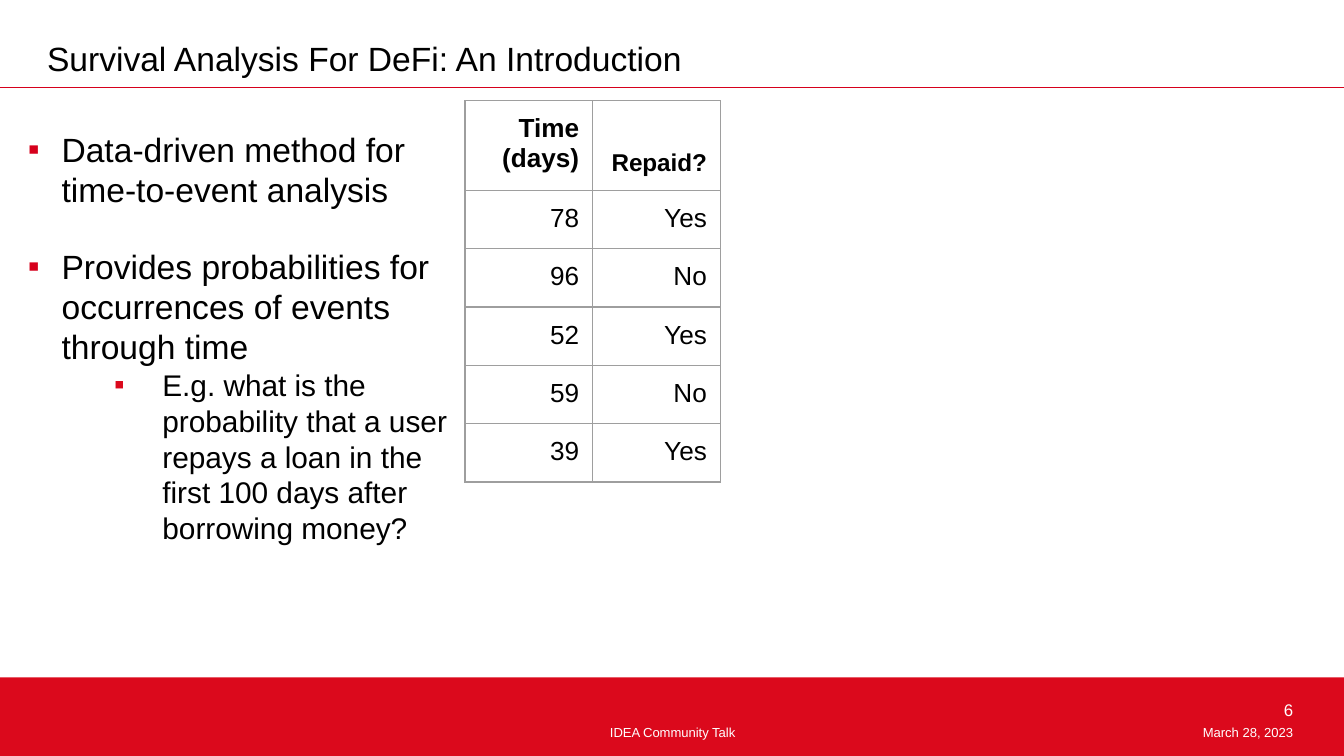
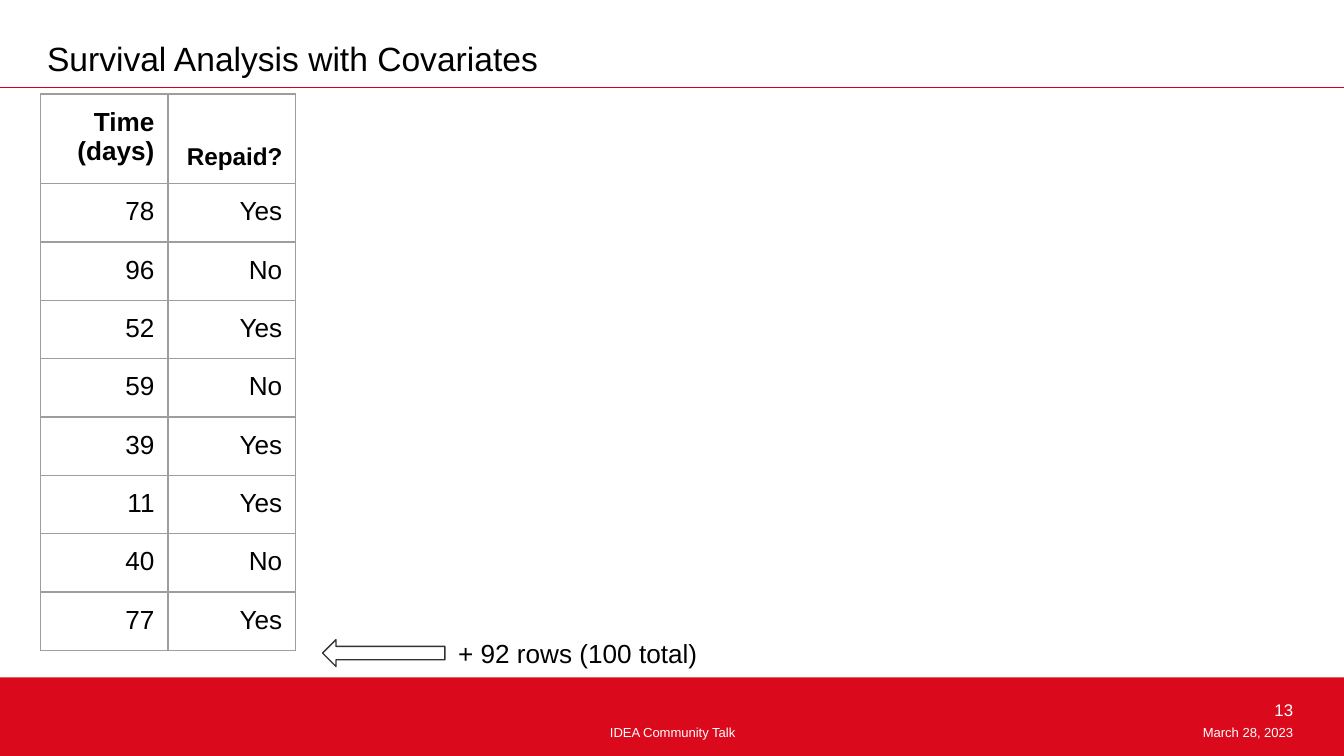
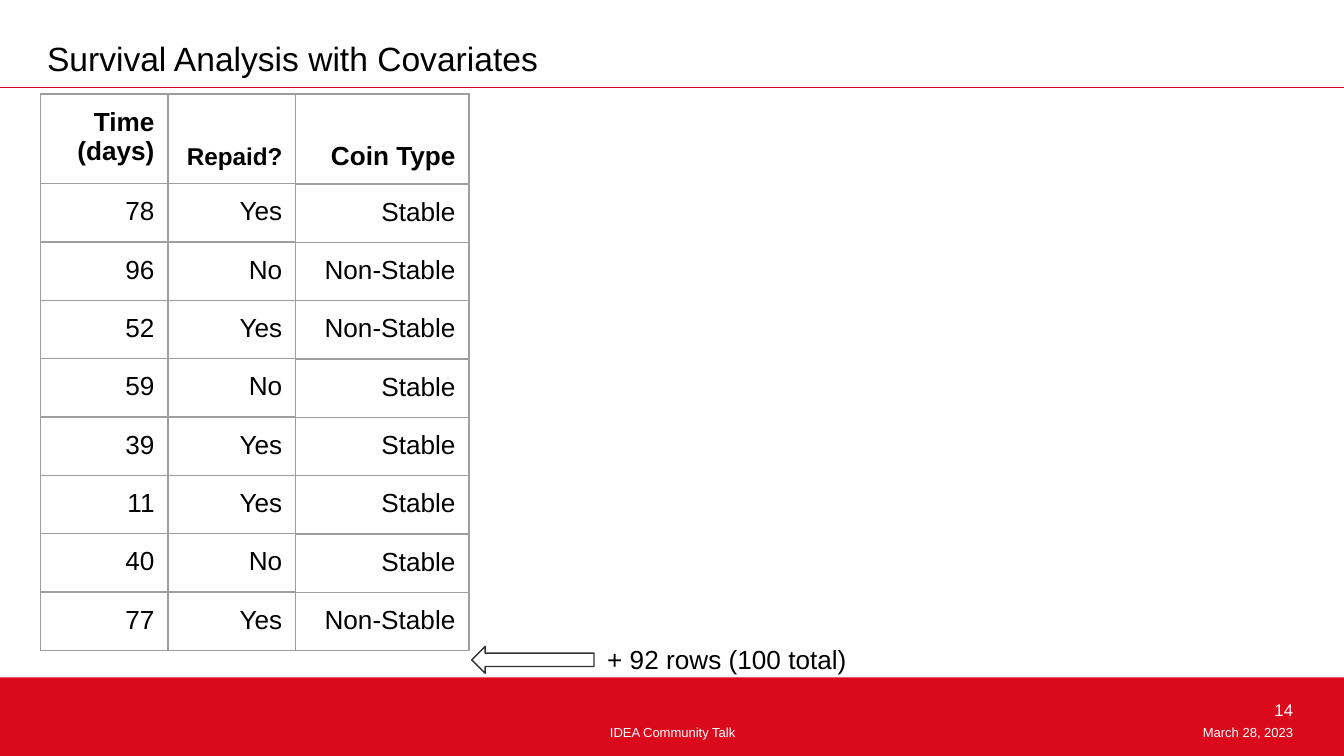
import lxml.etree
import pptx
import pptx.dml.color
import pptx.enum.shapes
import pptx.enum.text
import pptx.oxml
import pptx.oxml.ns
import pptx.util

Inches = pptx.util.Inches
Pt = pptx.util.Pt
ALIGN = pptx.enum.text.PP_ALIGN
ANCHOR = pptx.enum.text.MSO_ANCHOR
AUTO_SIZE = pptx.enum.text.MSO_AUTO_SIZE
SHAPE = pptx.enum.shapes.MSO_SHAPE

COLORS = {
    "black": "000000",
    "white": "FFFFFF",
    "band": "DB091C",
    "accent": "D6001C",
    "grid": "9E9E9E",
    "outline": "323232",
}
FONT = "Arial"
TITLE_ONLY = 5

LOANS = [
    ("78", "Yes", "Stable"),
    ("96", "No", "Non-Stable"),
    ("52", "Yes", "Non-Stable"),
    ("59", "No", "Stable"),
    ("39", "Yes", "Stable"),
    ("11", "Yes", "Stable"),
    ("40", "No", "Stable"),
    ("77", "Yes", "Non-Stable"),
]
REPAYMENTS = [loan[:2] for loan in LOANS]
COIN_TYPES = [loan[2:] for loan in LOANS]
REPAYMENT_HEADS = [("Time (days)", 14, ANCHOR.TOP), ("Repaid?", 13, ANCHOR.BOTTOM)]
COIN_HEADS = [("Coin Type", 14, ANCHOR.BOTTOM)]


def rgb(name):
    return pptx.dml.color.RGBColor.from_string(COLORS[name])


def write(paragraph, text, size=14, color="black", bold=False, align=ALIGN.LEFT):
    paragraph.alignment = align
    run = paragraph.add_run()
    run.text = text
    run.font.name = FONT
    run.font.size = Pt(size)
    run.font.bold = bold
    run.font.color.rgb = rgb(color)


def add_element(parent, tag, **attributes):
    return lxml.etree.SubElement(parent, pptx.oxml.ns.qn(tag), attributes)


def set_margins(holder, side, end):
    holder.margin_left = holder.margin_right = Inches(side)
    holder.margin_top = holder.margin_bottom = Inches(end)


class Deck:
    def __init__(self):
        self.presentation = pptx.Presentation()
        self.presentation.slide_width = Inches(10)
        self.presentation.slide_height = Inches(10) * 9 // 16
        self.slide = None

    def start_slide(self, title, number):
        layout = self.presentation.slide_layouts[TITLE_ONLY]
        self.slide = self.presentation.slides.add_slide(layout)
        self.shape(SHAPE.RECTANGLE, 0, 5.04, 10, 0.6, fill="band")
        footers = [
            ("March 28, 2023", 7.39, 5.34, 2.33, 0.1, 7, ALIGN.RIGHT),
            ("IDEA Community Talk", 3.42, 5.34, 3.17, 0.28, 7, ALIGN.CENTER),
            (str(number), 7.39, 5.16, 2.33, 0.1, 9, ALIGN.RIGHT),
        ]
        for text, left, top, width, height, size, align in footers:
            frame = self.text_frame(left, top, width, height)
            write(frame.paragraphs[0], text, size=size, color="white", align=align)
        self.rule(0.65)
        self.title(title)

    def title(self, text):
        heading = self.slide.shapes.title
        heading.left, heading.top = Inches(0.25), Inches(0.22)
        heading.width, heading.height = Inches(9.1), Inches(0.43)
        frame = heading.text_frame
        set_margins(frame, 0.1, 0.05)
        frame.word_wrap = True
        frame.auto_size = AUTO_SIZE.NONE
        frame.vertical_anchor = ANCHOR.MIDDLE
        write(frame.paragraphs[0], text, size=18)

    def shape(self, kind, left, top, width, height, fill, line=None):
        item = self.slide.shapes.add_shape(
            kind, Inches(left), Inches(top), Inches(width), Inches(height))
        item.shadow.inherit = False
        item.fill.solid()
        item.fill.fore_color.rgb = rgb(fill)
        if line:
            item.line.color.rgb = rgb(line)
            item.line.width = Pt(0.75)
        else:
            item.line.fill.background()

    def rule(self, top):
        divider = self.slide.shapes.add_connector(
            pptx.enum.shapes.MSO_CONNECTOR.STRAIGHT,
            Inches(0), Inches(top), Inches(10), Inches(top))
        divider.line.color.rgb = rgb("accent")
        divider.line.width = Pt(0.75)
        add_element(divider._element.spPr, "a:effectLst")

    def text_frame(self, left, top, width, height, inset=0.05):
        box = self.slide.shapes.add_textbox(
            Inches(left), Inches(top), Inches(width), Inches(height))
        frame = box.text_frame
        frame.word_wrap = True
        set_margins(frame, 0.1, inset)
        return frame

    def bullets(self, points, left, top, width, height):
        frame = self.text_frame(left, top, width, height)
        for index, (text, size, indent, hanging, color, gap) in enumerate(points):
            paragraph = frame.paragraphs[0] if index == 0 else frame.add_paragraph()
            paragraph.level = 1
            properties = paragraph._p.get_or_add_pPr()
            properties.set("marL", str(Inches(indent)))
            properties.set("indent", str(-Inches(hanging)))
            bullet_color = add_element(properties, "a:buClr")
            add_element(bullet_color, "a:srgbClr", val=COLORS[color])
            add_element(properties, "a:buFont", typeface=FONT)
            add_element(properties, "a:buChar", char="▪")
            paragraph.line_spacing = 1.0
            if gap:
                paragraph.space_before = Pt(gap)
            write(paragraph, text, size=size)

    def cell(self, cell, text, size=14, anchor=ANCHOR.TOP, bold=False):
        set_margins(cell, 0.1, 0.1)
        cell.vertical_anchor = anchor
        properties = cell._tc.get_or_add_tcPr()
        for edge in ("a:lnL", "a:lnR", "a:lnT", "a:lnB"):
            border = add_element(properties, edge, w=str(Pt(0.75)))
            fill = add_element(border, "a:solidFill")
            add_element(fill, "a:srgbClr", val=COLORS["grid"])
        cell.fill.background()
        write(cell.text_frame.paragraphs[0], text, size=size, bold=bold, align=ALIGN.RIGHT)

    def table(self, heads, rows, left, top, column_width,
              head_height=Inches(0.66), row_height=Pt(30.75)):
        table = self.slide.shapes.add_table(
            len(rows) + 1, len(heads), Inches(left), Inches(top),
            Inches(column_width * len(heads)),
            head_height + row_height * len(rows)).table
        table.horz_banding = False
        for column in table.columns:
            column.width = Inches(column_width)
        for index, row in enumerate(table.rows):
            row.height = row_height if index else head_height
        for column, (text, size, anchor) in enumerate(heads):
            self.cell(table.cell(0, column), text, size=size, anchor=anchor, bold=True)
        for index, values in enumerate(rows, start=1):
            for column, value in enumerate(values):
                self.cell(table.cell(index, column), value)

    def more_rows(self, left, top):
        self.shape(SHAPE.LEFT_ARROW, left, top, 0.91, 0.2, fill="white", line="outline")
        frame = self.text_frame(left + 0.91, top - 0.12, 2.07, 0.44, inset=0.1)
        frame.auto_size = AUTO_SIZE.SHAPE_TO_FIT_TEXT
        write(frame.paragraphs[0], "+ 92 rows (100 total)")


def main():
    deck = Deck()

    deck.start_slide("Survival Analysis For DeFi: An Introduction", 6)
    deck.bullets([
        ("Data-driven method for time-to-event analysis", 18, 0.25, 0.27, "accent", 0),
        ("Provides probabilities for occurrences of events through time",
         18, 0.25, 0.27, "accent", 19.3),
        ("E.g. what is the probability that a user repays a loan in the first 100 days "
         "after borrowing money?", 16, 1, 0.36, "band", 0),
    ], 0.11, 0.91, 3.35, 4.01)
    deck.table(REPAYMENT_HEADS, REPAYMENTS[:5], 3.46, 0.75, 0.95)

    deck.start_slide("Survival Analysis with Covariates", 13)
    deck.table(REPAYMENT_HEADS, REPAYMENTS, 0.3, 0.7, 0.95)
    deck.more_rows(2.4, 4.76)

    deck.start_slide("Survival Analysis with Covariates", 14)
    deck.table(REPAYMENT_HEADS, REPAYMENTS, 0.3, 0.7, 0.95)
    deck.table(COIN_HEADS, COIN_TYPES, 2.2, 0.7, 1.29,
               head_height=Inches(0.67), row_height=Inches(0.43))
    deck.more_rows(3.51, 4.81)

    deck.presentation.save("out.pptx")


if __name__ == "__main__":
    main()
